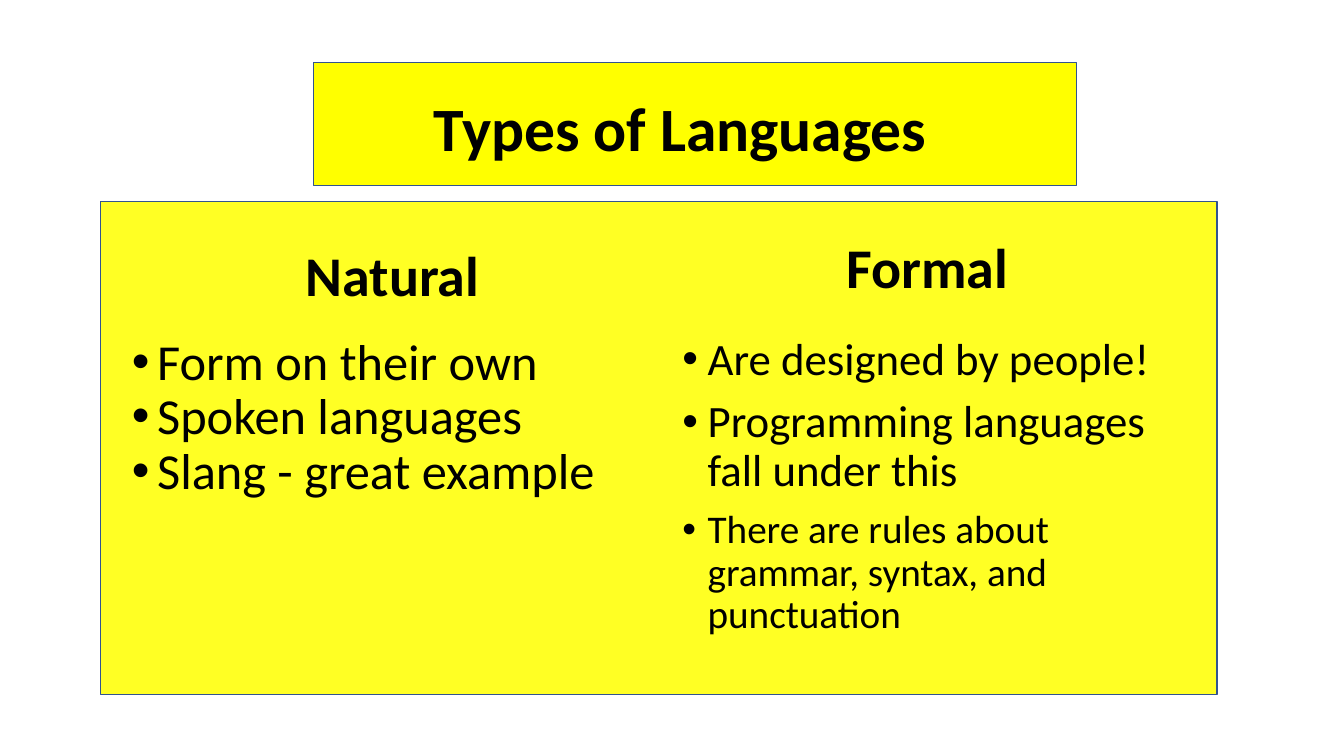
"""Build a slide comparing natural and formal languages."""
from lxml import etree
from pptx import Presentation
from pptx import util as u
from pptx.dml.color import RGBColor
from pptx.enum import shapes, text
from pptx.oxml.ns import qn

COLORS = {"panel": "FFFF00", "border": "31538F", "text": "000000"}
HEADING = {"bold": True}
BODY_TOP, BODY_HEIGHT = 3.29, 3.19

presentation = Presentation()
presentation.slide_width = u.Inches(13.33)
presentation.slide_height = u.Inches(7.5)
slide = presentation.slides.add_slide(presentation.slide_layouts[6])


def add_panel(left, top, width, height, opacity):
    shape = slide.shapes.add_shape(
        shapes.MSO_SHAPE.RECTANGLE, *map(u.Inches, (left, top, width, height)))
    shape.shadow.inherit = False
    shape.fill.solid()
    shape.fill.fore_color.rgb = RGBColor.from_string(COLORS["panel"])
    shape.line.color.rgb = RGBColor.from_string(COLORS["border"])
    shape.line.width = u.Pt(1)
    if opacity < 100:
        color = shape.fill._xPr.find(qn("a:solidFill"))[0]
        etree.SubElement(color, qn("a:alpha"), val=str(opacity * 1000))


def add_text(box, anchor, lines, gap=0, bullets=False):
    shape = slide.shapes.add_textbox(*map(u.Inches, box))
    frame = shape.text_frame
    frame.word_wrap = True
    frame.vertical_anchor = anchor
    for index, (words, size) in enumerate(lines):
        paragraph = frame.paragraphs[0] if index == 0 else frame.add_paragraph()
        paragraph.text = words
        paragraph.line_spacing = 0.9
        if index:
            paragraph.space_before = u.Pt(gap)
        if bullets:
            properties = paragraph._p.get_or_add_pPr()
            properties.set("marL", str(u.Inches(0.25)))
            properties.set("indent", str(u.Inches(-0.25)))
            etree.SubElement(properties, qn("a:buFont"), typeface="Arial")
            etree.SubElement(properties, qn("a:buChar"), char="•")
        else:
            paragraph.alignment = text.PP_ALIGN.CENTER
        style = {"name": "Calibri", "size": u.Pt(size)} | ({} if bullets else HEADING)
        for name, value in style.items():
            setattr(paragraph.font, name, value)
        paragraph.font.color.rgb = RGBColor.from_string(COLORS["text"])


add_panel(3.11, 0.62, 7.57, 1.22, 100)
add_panel(1, 2, 11.07, 4.89, 86)

columns = [
    ("Natural", (1.23, 2.21, 5.33, 0.9), (1.21, BODY_TOP, 5.35, BODY_HEIGHT), 0,
     [("Form on their own", 36), ("Spoken languages", 36),
      ("Slang - great example", 36)]),
    ("Formal", (6.67, 2.13, 5.05, 0.9), (6.67, BODY_TOP, 5.05, BODY_HEIGHT), 10,
     [("Are designed by people!", 32),
      ("Programming languages fall under this", 32),
      ("There are rules about grammar, syntax, and punctuation", 28)]),
]
for heading, heading_box, body_box, gap, points in columns:
    add_text(heading_box, text.MSO_ANCHOR.BOTTOM, [(heading, 40)])
    add_text(body_box, text.MSO_ANCHOR.TOP, points, gap, bullets=True)

add_text((1, 0.58, 11.5, 1.45), text.MSO_ANCHOR.MIDDLE, [("Types of Languages", 44)])

presentation.save("out.pptx")
